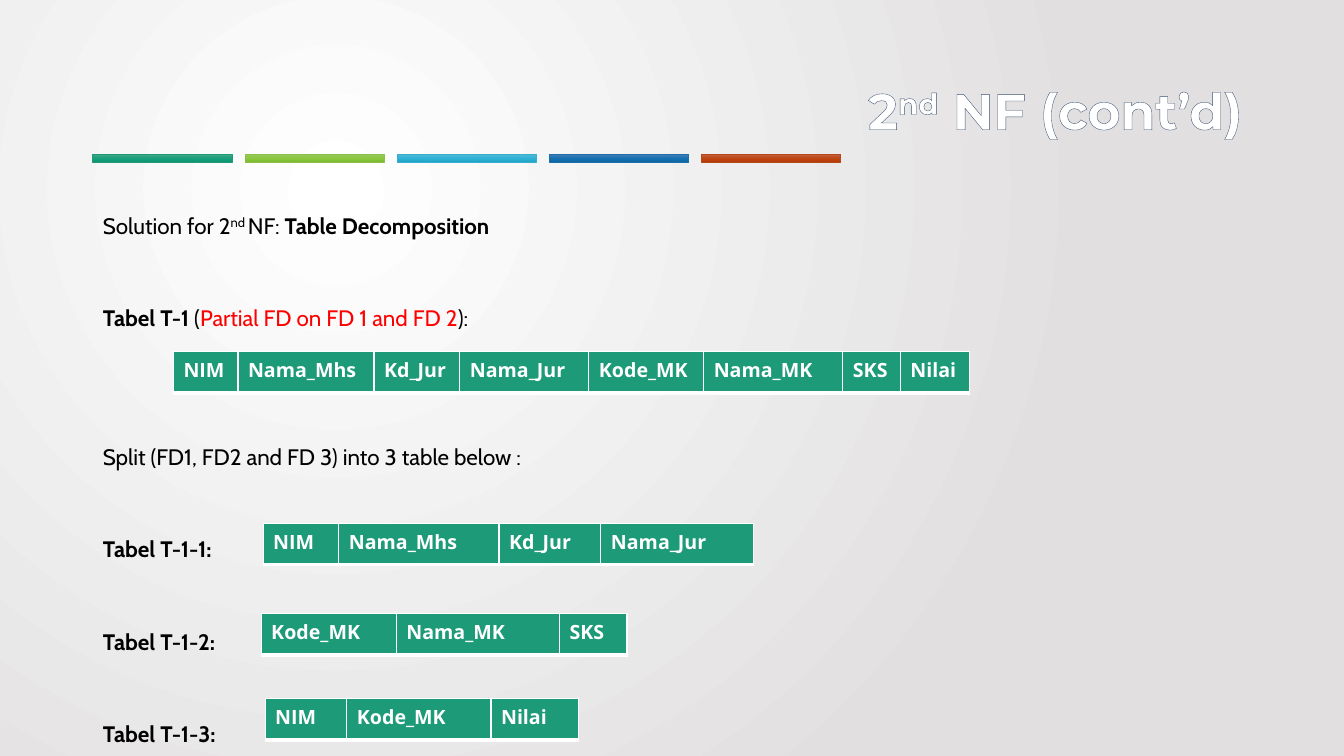
"""Build the second normal form slide with its decomposed tables."""
from dataclasses import dataclass

import lxml.etree
import pptx
import pptx.dml.color
import pptx.enum.shapes
import pptx.enum.text
import pptx.oxml
import pptx.oxml.ns
import pptx.util

Inches = pptx.util.Inches
Pt = pptx.util.Pt
RGBColor = pptx.dml.color.RGBColor
qn = pptx.oxml.ns.qn

WHITE = RGBColor(0xFF, 0xFF, 0xFF)
GREY = RGBColor(0xE1, 0xDF, 0xDF)
BLACK = RGBColor(0, 0, 0)
RED = RGBColor(0xFF, 0, 0)
GREEN = RGBColor(0x1D, 0x9A, 0x78)
NAVY = RGBColor(0x3A, 0x52, 0x74)
DOWNWARD = '<a:lin ang="5400000" scaled="0"/>'
CIRCLE = '<a:path path="circle"><a:fillToRect l="50000" t="50000" r="100000" b="100000"/></a:path>'


@dataclass
class Bar:
    stops: tuple[str, str, str]
    line: str


@dataclass
class Span:
    text: str
    bold: bool = False
    color: RGBColor = BLACK
    raised: bool = False


@dataclass
class Line:
    spans: list[Span]
    space_before: float = 43


@dataclass
class Schema:
    left: float
    top: float
    columns: dict[str, float]


BARS = [
    Bar(("4EA788", "17A07B", "0F9470"), "1D9A78"),
    Bar(("98C862", "8CC73F", "7DB831"), "8BC145"),
    Bar(("59B8D4", "2EB3D6", "21A4C6"), "36AFCE"),
    Bar(("4E80B5", "1670B0", "0D65A3"), "1D6FA9"),
    Bar(("C2634D", "BF4611", "B13B08"), "B74919"),
]
TITLE = [Span("2"), Span("nd", raised=True), Span(" NF (cont’d)")]
LINES = [
    Line([Span("Solution for 2"), Span("nd ", raised=True), Span("NF: "),
          Span("Table Decomposition", bold=True)], 0),
    Line([Span("Tabel T-1 ", bold=True), Span("("),
          Span("Partial FD on FD 1 and FD 2", color=RED), Span("):")]),
    Line([Span("Split (FD1, FD2 and FD 3) into 3 table below :")], 76),
    *[Line([Span(f"Tabel T-1-{number}:", bold=True)]) for number in (1, 2, 3)],
]
SCHEMAS = [
    Schema(1.72, 3.49, {"NIM": 0.64, "Nama_Mhs": 1.35, "Kd_Jur": 0.85, "Nama_Jur": 1.28,
                        "Kode_MK": 1.14, "Nama_MK": 1.38, "SKS": 0.57, "Nilai": 0.69}),
    Schema(2.61, 5.19, {"NIM": 0.75, "Nama_Mhs": 1.59, "Kd_Jur": 1.01, "Nama_Jur": 1.51}),
    Schema(2.59, 6.09, {"Kode_MK": 1.34, "Nama_MK": 1.62, "SKS": 0.67}),
    Schema(2.63, 6.93, {"NIM": 0.81, "Kode_MK": 1.43, "Nilai": 0.87}),
]


def element(tag: str, content: str, attributes: str = ""):
    return pptx.oxml.parse_xml(
        f'<a:{tag} xmlns:a="{pptx.oxml.ns.nsuri("a")}" {attributes}>{content}</a:{tag}>')


def solid(color: RGBColor) -> str:
    return f'<a:solidFill><a:srgbClr val="{color}"/></a:solidFill>'


def set_gradient(parent, colors: tuple, direction: str) -> None:
    step = 100000 // (len(colors) - 1)
    stops = "".join(f'<a:gs pos="{index * step}"><a:srgbClr val="{color}"/></a:gs>'
                    for index, color in enumerate(colors))
    parent.replace(parent.find(qn("a:solidFill")),
                   element("gradFill", f"<a:gsLst>{stops}</a:gsLst>{direction}"))


def add_bar(page, index: int, bar: Bar) -> None:
    shape = page.shapes.add_shape(
        pptx.enum.shapes.MSO_SHAPE.RECTANGLE,
        Inches(0.92 + 1.51 * index), Inches(1.53), Inches(1.38), Inches(0.08))
    shape.shadow.inherit = False
    shape.line.color.rgb = RGBColor.from_string(bar.line)
    shape.line.width = Pt(0.5)
    shape.fill.solid()
    set_gradient(shape.element.spPr, bar.stops, DOWNWARD)


def place(box, top: float, height: float) -> None:
    box.left, box.top = Inches(0.92), Inches(top)
    box.width, box.height = Inches(11.5), Inches(height)
    box.text_frame.word_wrap = True
    box.text_frame.auto_size = pptx.enum.text.MSO_AUTO_SIZE.NONE


def add_spans(para, spans: list[Span]) -> None:
    for span in spans:
        run = para.add_run()
        run.text = span.text
        if span.bold:
            run.font.bold = True
        if span.color != BLACK:
            run.font.color.rgb = span.color
        if span.raised:
            run.font._element.set("baseline", "30000")


def set_font(para, name: str, size: float, color: RGBColor) -> None:
    para.font.name = name
    para.font.size = Pt(size)
    para.font.color.rgb = color


def fill_title(box) -> None:
    place(box, 0.4, 1.45)
    box.text_frame.vertical_anchor = pptx.enum.text.MSO_ANCHOR.MIDDLE
    para = box.text_frame.paragraphs[0]
    para.alignment = pptx.enum.text.PP_ALIGN.RIGHT
    para.line_spacing = 0.9
    set_font(para, "Montserrat", 36, WHITE)
    para.font.bold = True
    add_spans(para, TITLE)
    for run in para.runs:
        run.font._element.insert(0, element("ln", solid(NAVY), 'w="12700"'))


def fill_body(box) -> None:
    place(box, 2, 4.76)
    frame = box.text_frame
    frame.vertical_anchor = pptx.enum.text.MSO_ANCHOR.TOP
    for index, line in enumerate(LINES):
        para = frame.add_paragraph() if index else frame.paragraphs[0]
        para.line_spacing = 1.2
        para.space_before = Pt(line.space_before)
        properties = para._p.get_or_add_pPr()
        properties.set("marL", str(Inches(0.56)))
        properties.set("indent", str(-Inches(0.56)))
        lxml.etree.SubElement(properties, qn("a:buNone"))
        set_font(para, "Cabin", 16, BLACK)
        add_spans(para, line.spans)


def add_schema(page, schema: Schema) -> None:
    widths = schema.columns.values()
    table = page.shapes.add_table(
        1, len(widths), Inches(schema.left), Inches(schema.top),
        Inches(sum(widths)), Inches(0.41)).table
    for index, (name, width) in enumerate(schema.columns.items()):
        table.columns[index].width = Inches(width)
        cell = table.cell(0, index)
        cell.text = name
        cell.fill.solid()
        cell.fill.fore_color.rgb = GREEN
        para = cell.text_frame.paragraphs[0]
        set_font(para, "Open Sans", 14, WHITE)
        para.font.bold = True
        properties = cell._tc.get_or_add_tcPr()
        for position, (side, points) in enumerate(zip("LRTB", (1, 1, 1, 3))):
            properties.insert(position, element(f"ln{side}", solid(WHITE), f'w="{Pt(points)}"'))


def main() -> None:
    deck = pptx.Presentation()
    deck.slide_width, deck.slide_height = Inches(13.33), Inches(7.5)
    page = deck.slides.add_slide(deck.slide_layouts[1])
    page.background.fill.solid()
    set_gradient(page.element.find(".//" + qn("p:bgPr")), (WHITE, GREY), CIRCLE)
    fill_title(page.shapes.title)
    fill_body(page.placeholders[1])
    for index, bar in enumerate(BARS):
        add_bar(page, index, bar)
    for schema in SCHEMAS:
        add_schema(page, schema)
    deck.save("out.pptx")


if __name__ == "__main__":
    main()
